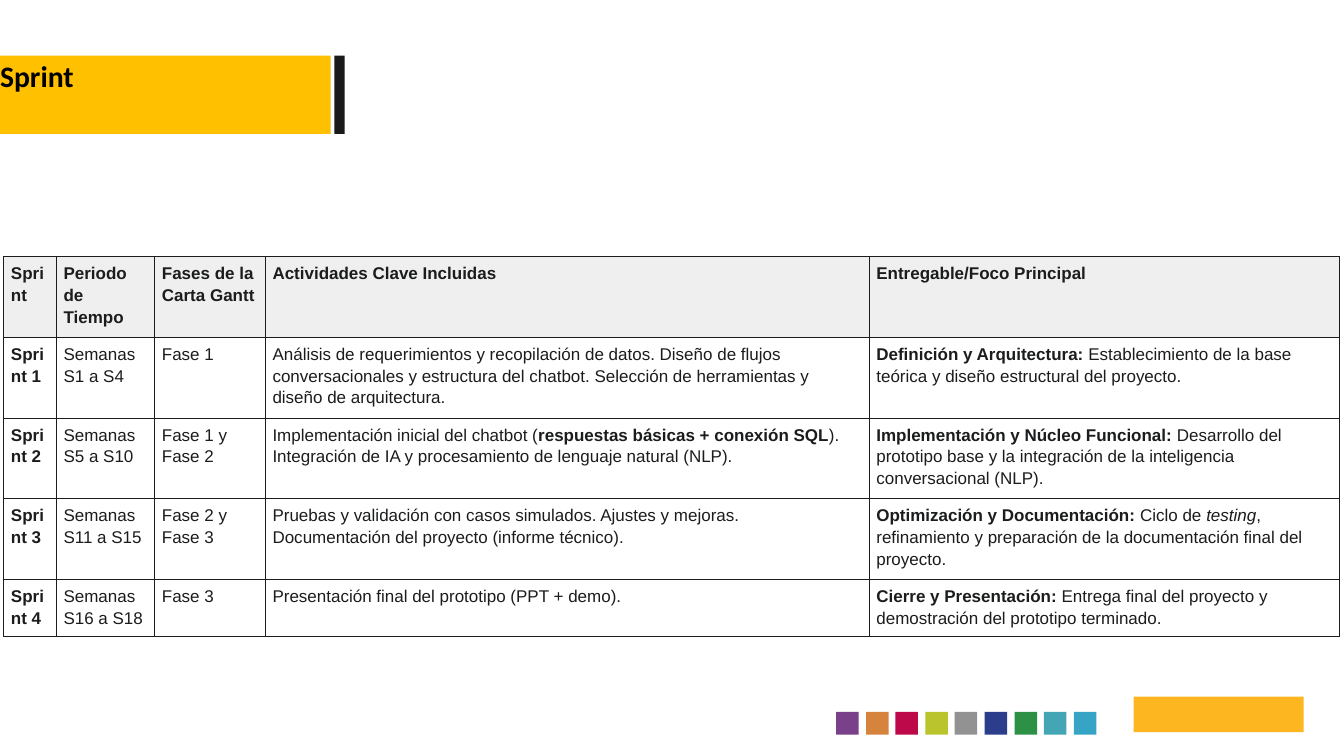
from lxml import etree
from pptx import Presentation
from pptx import util as u
from pptx.dml.color import RGBColor
from pptx.enum import shapes
from pptx.oxml.ns import qn

PX = 9144  # EMU per px, 100 px to the inch
COLORS = {
    "banner": "FFC000", "bar": "1A1A1A", "logo": "FEB620", "title": "000000",
    "ink": "1B1C1D", "header": "EFEFEF",
}
SWATCHES = ["7B408A", "D6843D", "BD0949", "BAC52E", "929292",
            "2C3E8B", "2C9146", "44A6B5", "35A4C5"]
COLUMNS = [86, 161, 181, 988, 770]
ROW_HEIGHTS = [132, 132, 132, 132, 94]
HEADER = ["Sprint", "Periodo de Tiempo", "Fases de la Carta Gantt",
          "Actividades Clave Incluidas", "Entregable/Foco Principal"]

# A cell is a list of (text, style) runs; style is "b", "i" or "".
SPRINTS = [
    ("Semanas S1 a S4", "Fase 1",
     [("Análisis de requerimientos y recopilación de datos. Diseño de flujos "
       "conversacionales y estructura del chatbot. Selección de herramientas y "
       "diseño de arquitectura.", "")],
     [("Definición y Arquitectura:", "b"),
      (" Establecimiento de la base teórica y diseño estructural del proyecto.", "")]),
    ("Semanas S5 a S10", "Fase 1 y Fase 2",
     [("Implementación inicial del chatbot (", ""),
      ("respuestas básicas + conexión SQL", "b"),
      ("). Integración de IA y procesamiento de lenguaje natural (NLP).", "")],
     [("Implementación y Núcleo Funcional:", "b"),
      (" Desarrollo del prototipo base y la integración de la inteligencia "
       "conversacional (NLP).", "")]),
    ("Semanas S11 a S15", "Fase 2 y Fase 3",
     [("Pruebas y validación con casos simulados. Ajustes y mejoras. "
       "Documentación del proyecto (informe técnico).", "")],
     [("Optimización y Documentación:", "b"), (" Ciclo de ", ""), ("testing", "i"),
      (", refinamiento y preparación de la documentación final del proyecto.", "")]),
    ("Semanas S16 a S18", "Fase 3",
     [("Presentación final del prototipo (PPT + demo).", "")],
     [("Cierre y Presentación:", "b"),
      (" Entrega final del proyecto y demostración del prototipo terminado.", "")]),
]


def box(*lengths):
    return [u.Emu(n * PX) for n in lengths]


def set_font(font, name, size, color):
    font.name = name
    font.size = u.Pt(size)
    font.color.rgb = RGBColor.from_string(color)


def add_block(s, x, y, w, h, color):
    sp = s.shapes.add_shape(shapes.MSO_SHAPE.RECTANGLE, *box(x, y, w, h))
    sp.shadow.inherit = False
    sp.fill.solid()
    sp.fill.fore_color.rgb = RGBColor.from_string(color)
    sp.line.fill.background()


def add_title(s, title):
    tf = s.shapes.add_textbox(*box(0, 94, 571, 59)).text_frame
    tf.word_wrap = True
    tf.margin_left = tf.margin_top = tf.margin_right = tf.margin_bottom = 0
    p = tf.paragraphs[0]
    p.text = title
    set_font(p.font, "Calibri", 35, COLORS["title"])
    p.font.bold = True


def add_borders(cell):
    tc_pr = cell._tc.get_or_add_tcPr()
    for side in ("a:lnL", "a:lnR", "a:lnT", "a:lnB"):
        ln = etree.SubElement(tc_pr, qn(side), w=str(u.Pt(0.75)))
        fill = etree.SubElement(ln, qn("a:solidFill"))
        etree.SubElement(fill, qn("a:srgbClr"), val=COLORS["ink"])


def fill_cell(cell, runs, fill=None):
    add_borders(cell)
    if fill:
        cell.fill.solid()
        cell.fill.fore_color.rgb = RGBColor.from_string(fill)
    else:
        cell.fill.background()
    cell.margin_left = cell.margin_right = u.Emu(12 * PX)
    cell.margin_top = cell.margin_bottom = u.Emu(8 * PX)
    p = cell.text_frame.paragraphs[0]
    p.line_spacing = 1.15
    set_font(p.font, "Arial", 20, COLORS["ink"])
    for content, style in runs:
        r = p.add_run()
        r.text = content
        r.font.bold = style == "b"
        if style == "i":
            r.font.italic = True


def add_sprint_table(s):
    frame = s.shapes.add_table(len(ROW_HEIGHTS), len(COLUMNS),
                               *box(6, 420, sum(COLUMNS), sum(ROW_HEIGHTS)))
    table = frame.table
    table.horz_banding = False
    for column, width in zip(table.columns, COLUMNS):
        column.width = u.Emu(width * PX)
    for row, height in zip(table.rows, ROW_HEIGHTS):
        row.height = u.Emu(height * PX)
    for i, heading in enumerate(HEADER):
        fill_cell(table.cell(0, i), [(heading, "b")], COLORS["header"])
    for n, (period, phase, activities, focus) in enumerate(SPRINTS, 1):
        cells = [[(f"Sprint {n}", "b")], [(period, "")], [(phase, "")], activities, focus]
        for i, runs in enumerate(cells):
            fill_cell(table.cell(n, i), runs)


def main():
    prs = Presentation()
    prs.slide_width, prs.slide_height = box(2199, 1237)
    s = prs.slides.add_slide(prs.slide_layouts[6])
    add_block(s, 0, 91, 541, 128, COLORS["banner"])
    add_block(s, 547, 91, 17, 128, COLORS["bar"])
    add_block(s, 1855, 1140, 278, 58, COLORS["logo"])
    for i, color in enumerate(SWATCHES):
        add_block(s, 1368 + round(i * 389 / 8), 1165, 37, 37, color)
    add_title(s, "Sprint")
    add_sprint_table(s)
    prs.save("out.pptx")


if __name__ == "__main__":
    main()
